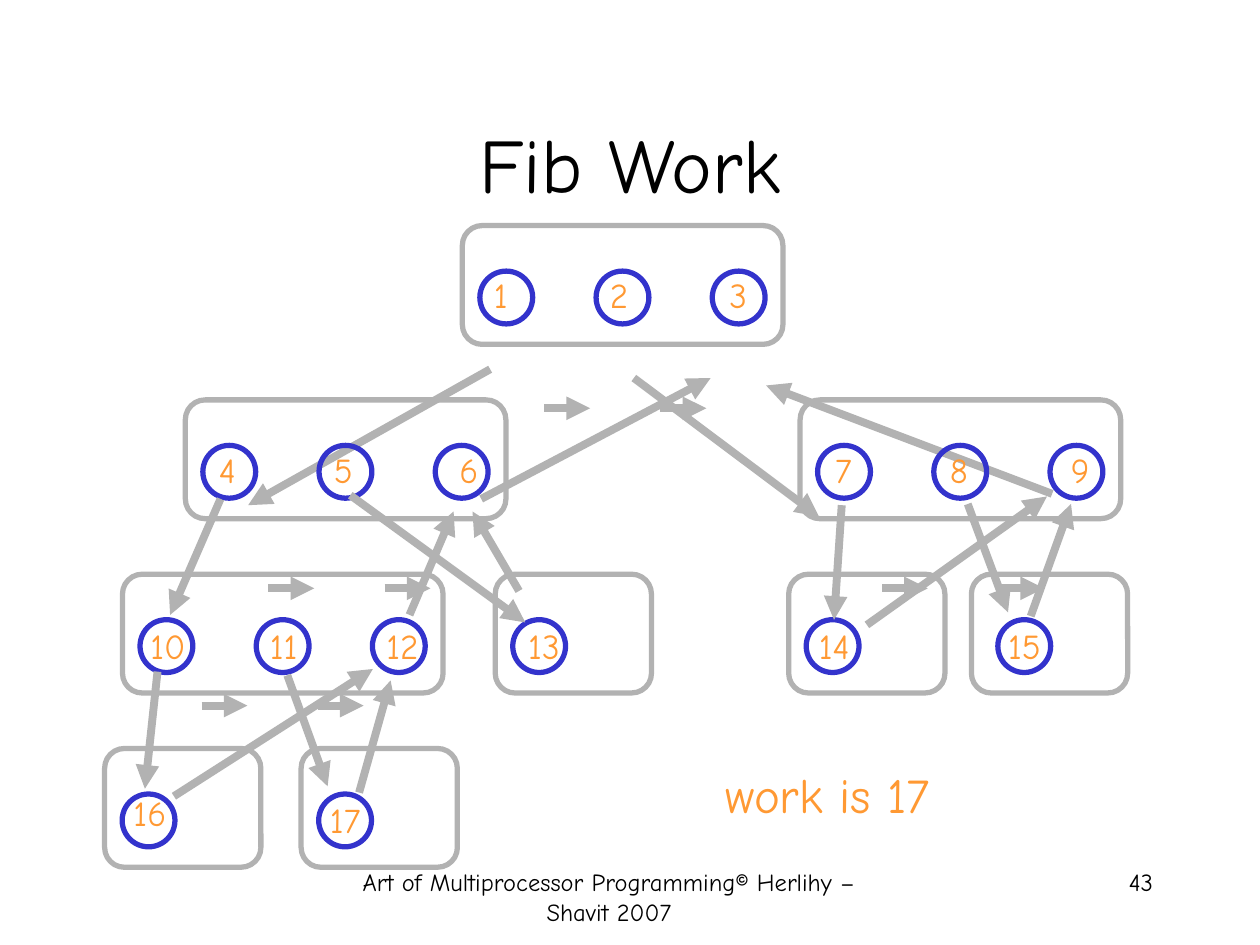
from lxml import etree
from pptx import Presentation
from pptx.dml.color import RGBColor
from pptx.enum.shapes import MSO_CONNECTOR, MSO_SHAPE
from pptx.enum.text import MSO_ANCHOR, PP_ALIGN
from pptx.oxml.ns import qn
from pptx.util import Pt

LINE = MSO_CONNECTOR.STRAIGHT
OVAL = MSO_SHAPE.OVAL
ROUND = MSO_SHAPE.ROUNDED_RECTANGLE
TOP, MIDDLE = MSO_ANCHOR.TOP, MSO_ANCHOR.MIDDLE
CENTER, RIGHT = PP_ALIGN.CENTER, PP_ALIGN.RIGHT
FONT = "Comic Neue"
GRAY, BLUE, ORANGE, BLACK = "B2B2B2", "3333CC", "FF9933", "000000"


def paint(hue):
    return RGBColor.from_string(hue)


def write(words, left, top, width, height, size=20, color=ORANGE,
          align=CENTER, anchor=TOP, wrap=False):
    box = slide.shapes.add_textbox(Pt(left), Pt(top), Pt(width), Pt(height))
    frame = box.text_frame
    frame.word_wrap = wrap
    frame.vertical_anchor = anchor
    para = frame.paragraphs[0]
    para.alignment = align
    run = para.add_run()
    run.text = words
    run.font.name = FONT
    run.font.size = Pt(size)
    run.font.color.rgb = paint(color)


deck = Presentation()
deck.slide_width, deck.slide_height = Pt(720), Pt(540)
slide = deck.slides.add_slide(deck.slide_layouts[6])

write("Art of Multiprocessor Programming© Herlihy –Shavit 2007",
      183, 492, 330, 36, size=14, color=BLACK, wrap=True)
write("43", 516.2, 492, 149.8, 36, size=14, color=BLACK, align=RIGHT, wrap=True)
write("Fib Work", 54, 48.2, 612, 90, size=44, color=BLACK, anchor=MIDDLE, wrap=True)

FIRST, ROW, STEP = 128.9, 99.6, 66.4
WIDE, SMALL, HIGH, DISC = 183.2, 89.3, 67.9, 30.2

calls = [
    (264.2, 0, 3, 10), (105.9, 1, 3, 10), (457.2, 1, 3, 10),
    (70, 2, 3, 10), (450.7, 2, 1, 10), (555.1, 2, 1, 15.1),
    (283, 2, 1, 10), (59.8, 3, 1, 10), (172.1, 3, 1, 10),
]
marks = [
    (LINE, 601.2, 282.2, 437.8, 220.3),
    (LINE, 280.1, 211, 141.8, 288.7),
]
for left, row, count, inset in calls:
    top = FIRST + row * ROW
    for i in range(count):
        marks.append((OVAL, left + inset + i * STEP, top + 26, DISC, DISC))
    marks.append((ROUND, left, top, WIDE if count == 3 else SMALL, HIGH))

for left, top in [(311, 233.3), (153.4, 336.2), (504, 336.2), (115.2, 403.2)]:
    for start in (left, left + STEP):
        marks.append((LINE, start, top, start + 26.2, top))

marks += [(LINE, *ends) for ends in [
    (126, 285.1, 97.2, 351.4),
    (90, 383.8, 82.8, 450.7),
    (200.2, 283, 300.2, 355.7),
    (362.2, 216, 468, 295.2),
    (164.2, 385.9, 187.2, 449.3),
    (481, 288.7, 476.6, 354.2),
    (553, 288, 576, 349.9),
    (99.4, 455, 213.1, 382.3),
    (205.2, 452.9, 223.2, 388.8),
    (234, 351.4, 259.2, 292.3),
    (296.6, 337.7, 270, 292.3),
    (495.4, 357.1, 598.3, 283.7),
    (589, 352.1, 612, 288),
    (275, 285.1, 406.1, 216),
]]

for kind, *place in marks:
    place = [Pt(n) for n in place]
    if kind == LINE:
        shape = slide.shapes.add_connector(LINE, *place)
        shape.line.width = Pt(4.5)
        tail = etree.SubElement(shape.line._get_or_add_ln(), qn("a:tailEnd"))
        tail.set("type", "triangle")
        etree.SubElement(shape._element.spPr, qn("a:effectLst"))
    else:
        shape = slide.shapes.add_shape(kind, *place)
        shape.shadow.inherit = False
        shape.fill.background()
        shape.line.width = Pt(3)
    shape.line.color.rgb = paint(BLUE if kind == OVAL else GRAY)

write("work is 17", 407.5, 433.6, 131, 41, size=28)

rows = [
    (152.6, [286.2, 353.8, 421.9]),
    (252.9, [130, 196.2, 268, 482, 547.9, 617.2]),
    (353.5, [96, 162.2, 230, 310.9, 476.8, 585.4]),
    (448.9, [85.7]),
    (452.9, [197.3]),
]
spots = [(mid, top) for top, mids in rows for mid in mids]
for num, (mid, top) in enumerate(spots, 1):
    width = 25 if num < 10 else 36
    write(str(num), mid - width / 2, top, width, 31.7)

deck.save("out.pptx")
